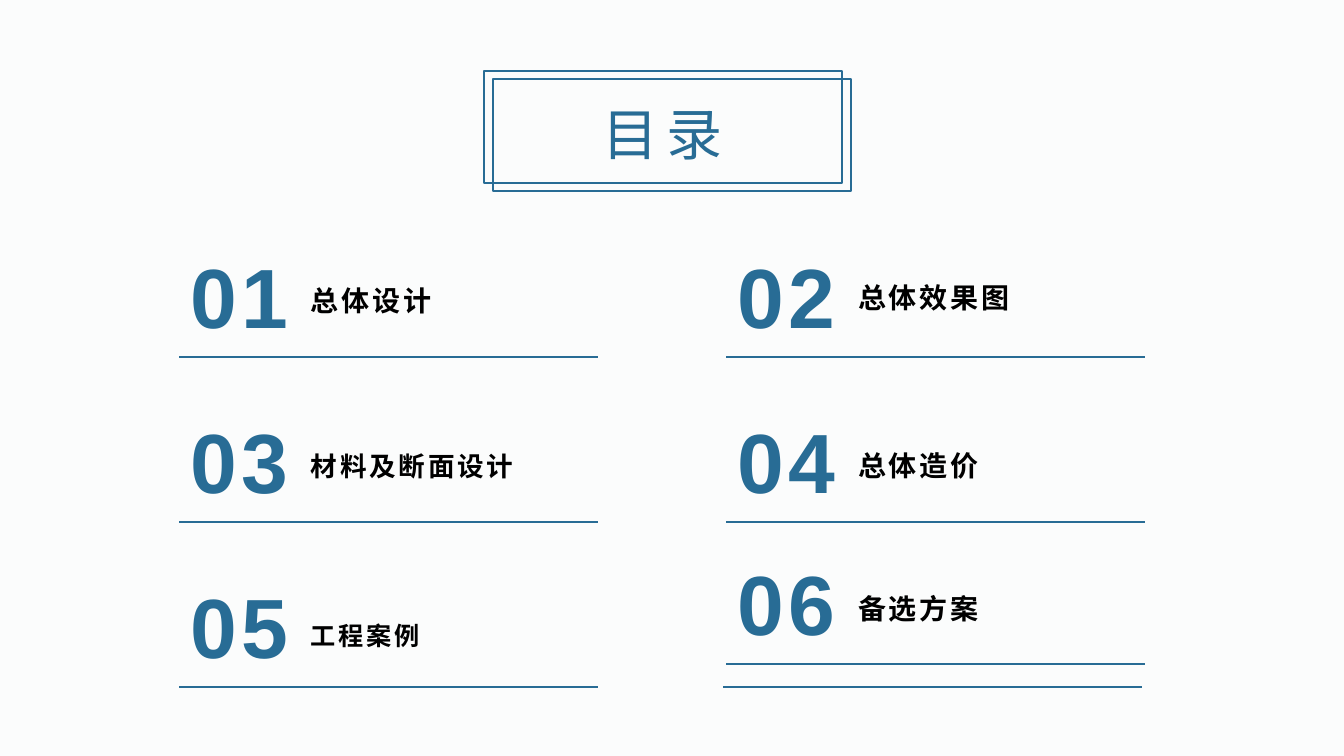
from lxml.etree import SubElement
from pptx import Presentation
from pptx.dml.color import RGBColor
from pptx.enum.lang import MSO_LANGUAGE_ID as Language
from pptx.enum.shapes import MSO_CONNECTOR as Connector, MSO_SHAPE as Shape
from pptx.enum.text import MSO_ANCHOR as Anchor, MSO_AUTO_SIZE as AutoSize, PP_ALIGN as Align
from pptx.oxml.ns import qn
from pptx.util import Emu, Inches, Pt

BLUE = RGBColor(0x28, 0x6C, 0x95)
BLACK = RGBColor(0, 0, 0)
PAPER = RGBColor(0xFB, 0xFC, 0xFC)
FONT = "Arial"

# Entry: number, label, left, top, label offset, label size, line spacing
LEFT_COLUMN, RIGHT_COLUMN = 178, 725
ENTRIES = [
    ("01", "总体设计", LEFT_COLUMN, 239, 36, 20, 1.1),
    ("02", "总体效果图", RIGHT_COLUMN, 239, 33, 20, 1.1),
    ("03", "材料及断面设计", LEFT_COLUMN, 404, 36, 19, 1.2),
    ("04", "总体造价", RIGHT_COLUMN, 404, 36, 20, 1.1),
    ("05", "工程案例", LEFT_COLUMN, 569, 40, 18, 1.2),
    ("06", "备选方案", RIGHT_COLUMN, 546, 37, 20, 1.1),
]


def px(count):
    return Emu(round(count * 914400 / 100.8))


def write(box, text, size, color, spacing, anchor, align, bold=False, wrap=True):
    """Put one styled run into a box and return its paragraph."""
    frame = box.text_frame
    frame.auto_size = AutoSize.NONE
    frame.word_wrap = wrap
    frame.vertical_anchor = anchor
    para = frame.paragraphs[0]
    para.alignment = align
    span = para.add_run()
    span.text = text
    font = span.font
    font.name, font.size, font.bold = FONT, Pt(size), bold
    font.color.rgb = color
    font.language_id = Language.SIMPLIFIED_CHINESE
    props = span._r.get_or_add_rPr()
    props.set("spc", str(spacing * 100))
    SubElement(props, qn("a:ea"), typeface=FONT)
    return para


def add_rule(page, left, top, width):
    rule = page.shapes.add_connector(
        Connector.STRAIGHT, px(left), px(top), px(left + width), px(top))
    rule.line.color.rgb = BLUE
    rule.line.width = Pt(1.5)
    SubElement(rule._element.spPr, qn("a:effectLst"))


def add_heading(page, left, top, width, height):
    """Title inside two offset outline frames."""
    title = page.shapes.title
    title.left, title.top = px(left + 55), px(top + 20)
    title.width, title.height = px(247), px(81)
    write(title, "目录", 40, BLUE, 6, Anchor.BOTTOM, Align.CENTER)
    for shift_x, shift_y in ((0, 0), (9, 8)):
        frame = page.shapes.add_shape(
            Shape.RECTANGLE, px(left + shift_x), px(top + shift_y), px(width), px(height))
        frame.shadow.inherit = False
        frame.fill.background()
        frame.line.color.rgb = BLUE
        frame.line.width = Pt(1)


def add_entry(page, number, label, left, top, label_offset, size, line_spacing):
    """Large number, label beside it and a rule beneath."""
    label_box = page.shapes.add_textbox(
        px(left + 123), px(top + label_offset), px(294), px(42))
    label_box.text_frame.margin_bottom = 0
    para = write(label_box, label, size, BLACK, 2, Anchor.BOTTOM, Align.LEFT, bold=True)
    para.line_spacing = line_spacing

    number_box = page.shapes.add_textbox(px(left), px(top), px(123), px(112))
    write(number_box, number, 60, BLUE, 3, Anchor.MIDDLE, Align.CENTER, bold=True, wrap=False)

    add_rule(page, left + 1, top + 118, 419)


def main():
    deck = Presentation()
    deck.slide_width, deck.slide_height = Inches(13.33), Inches(7.5)
    page = deck.slides.add_slide(deck.slide_layouts.get_by_name("Title Only"))
    page.background.fill.solid()
    page.background.fill.fore_color.rgb = PAPER

    add_heading(page, 484, 71, 358, 112)
    for entry in ENTRIES:
        add_entry(page, *entry)
    # Closing rule below the last entry
    add_rule(page, 723, 687, 419)
    deck.save("out.pptx")


if __name__ == "__main__":
    main()
